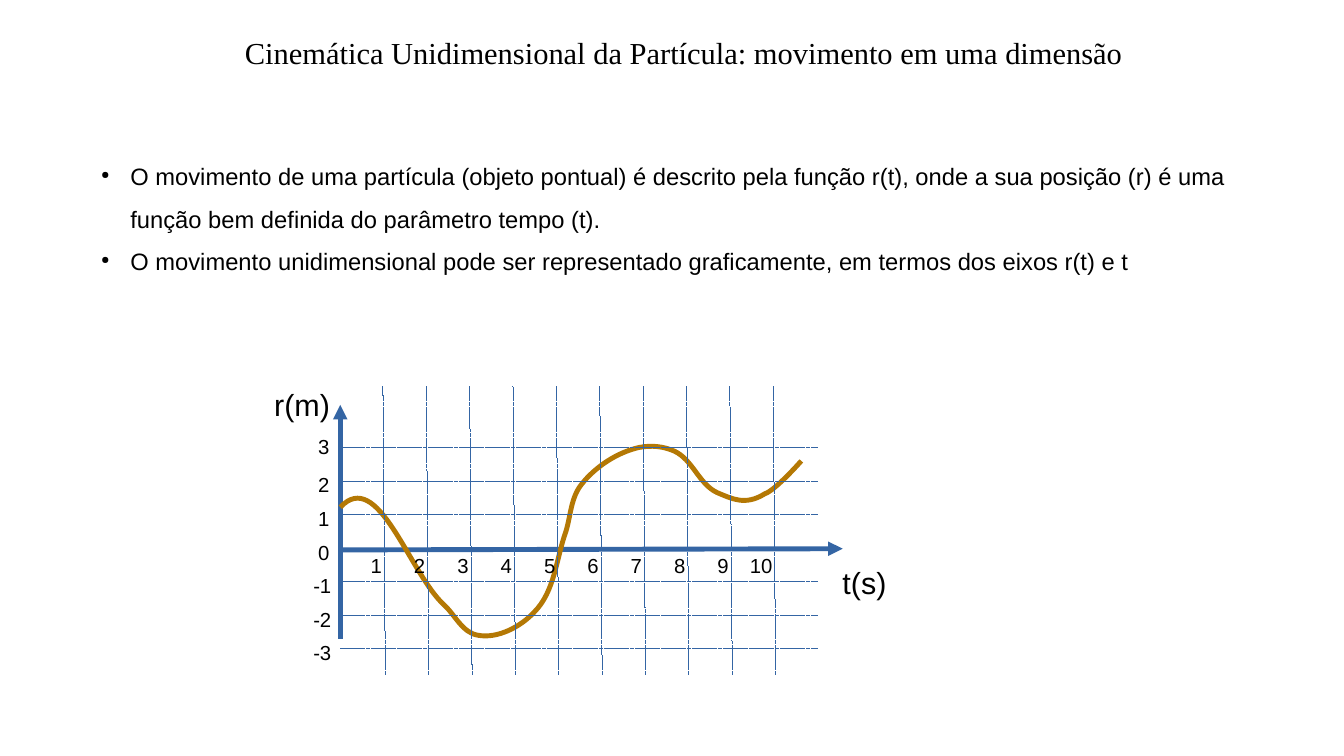
"""Build a slide on one-dimensional motion with a position-time graph."""
from dataclasses import dataclass

from lxml import etree
from pptx import Presentation
from pptx.dml.color import RGBColor
from pptx.enum.dml import MSO_LINE
from pptx.enum.shapes import MSO_CONNECTOR
from pptx.enum.text import MSO_AUTO_SIZE, PP_ALIGN
from pptx.oxml.ns import qn
from pptx.slide import Slide
from pptx.text.text import _Paragraph
from pptx.util import Inches, Pt

BLACK = RGBColor(0x00, 0x00, 0x00)
BLUE = RGBColor(0x34, 0x65, 0xA4)
OCHRE = RGBColor(0xB4, 0x78, 0x04)
STRAIGHT = MSO_CONNECTOR.STRAIGHT
DASHED = MSO_LINE.SQUARE_DOT
JUSTIFY = PP_ALIGN.JUSTIFY
FIT_SHAPE = MSO_AUTO_SIZE.SHAPE_TO_FIT_TEXT
NO_FIT = MSO_AUTO_SIZE.NONE

AXIS_WIDTH = 2.89
TIME_STEP = 3.2 / 9
GRID_LEFT, GRID_RIGHT = 2.79, 6.7
GRID_TOP, GRID_BOTTOM = 3.17, 5.53
POSITION_LINES = (4.22, 3.95, 3.67, 4.77, 5.05, 5.32)
POSITION_LABEL_TOPS = {1: 4.1, 2: 3.82, 3: 3.51, 0: 4.38, -1: 4.65, -2: 4.93, -3: 5.2}
BULLETS = (
    "O movimento de uma partícula (objeto pontual) é descrito pela função r(t), "
    "onde a sua posição (r) é uma função bem definida do parâmetro tempo (t).",
    "O movimento unidimensional pode ser representado graficamente, "
    "em termos dos eixos r(t) e t",
)
CURVE_START = (2.79, 4.16)
CURVE_POINTS = (
    (3.1, 3.83), (3.35, 4.69), (3.64, 4.96),
    (3.73, 5.04), (3.79, 5.19), (3.92, 5.21),
    (4.08, 5.24), (4.27, 5.14), (4.38, 5.02),
    (4.55, 4.85), (4.56, 4.58), (4.64, 4.36),
    (4.68, 4.23), (4.68, 4.08), (4.77, 3.97),
    (4.88, 3.83), (5.06, 3.71), (5.24, 3.67),
    (5.34, 3.65), (5.44, 3.66), (5.53, 3.7),
    (5.68, 3.77), (5.73, 3.97), (5.88, 4.04),
    (6, 4.09), (6.11, 4.15), (6.27, 4.05),
    (6.36, 4.02), (6.57, 3.78), (6.57, 3.78),
)


@dataclass(frozen=True)
class Label:
    """Text box content, place and type."""

    texts: tuple[str, ...]
    left: float
    top: float
    width: float
    height: float
    size: int
    font: str = "Arial"
    wrap: bool = False
    bulleted: bool = False
    alignment: PP_ALIGN | None = None
    line_spacing: float | None = None


@dataclass(frozen=True)
class Line:
    """Straight line from one point to another."""

    start: tuple[float, float]
    end: tuple[float, float]
    width: float = 0
    is_axis: bool = False


def add_bullet(paragraph: _Paragraph) -> None:
    """Give a paragraph a small hanging bullet."""
    properties = paragraph._p.get_or_add_pPr()
    properties.set("marL", str(Inches(0.24)))
    properties.set("indent", str(Inches(-0.24)))
    colour = etree.SubElement(properties, qn("a:buClr"))
    etree.SubElement(colour, qn("a:srgbClr"), val=str(BLACK))
    etree.SubElement(properties, qn("a:buSzPct"), val="45000")
    etree.SubElement(properties, qn("a:buChar"), char="●")


def add_label(slide: Slide, label: Label) -> None:
    """Draw a text box."""
    shape = slide.shapes.add_textbox(
        Inches(label.left), Inches(label.top), Inches(label.width), Inches(label.height)
    )
    frame = shape.text_frame
    frame.word_wrap = label.wrap
    frame.auto_size = NO_FIT if label.wrap else FIT_SHAPE
    for index, text in enumerate(label.texts):
        paragraph = frame.add_paragraph() if index else frame.paragraphs[0]
        if label.bulleted:
            add_bullet(paragraph)
        paragraph.alignment = label.alignment
        paragraph.line_spacing = label.line_spacing
        run = paragraph.add_run()
        run.text = text
        run.font.name = label.font
        run.font.size = Pt(label.size)
        run.font.color.rgb = BLACK


def add_line(slide: Slide, line: Line) -> None:
    """Draw an axis with an arrowhead or a dashed hairline of the grid."""
    connector = slide.shapes.add_connector(
        STRAIGHT, *(Inches(value) for value in line.start + line.end)
    )
    connector.line.color.rgb = BLUE
    outline = connector.line._get_or_add_ln()
    outline.set("w", str(Pt(line.width)))
    if line.is_axis:
        etree.SubElement(outline, qn("a:tailEnd"), type="triangle")
    else:
        connector.line.dash_style = DASHED
    etree.SubElement(connector._element.spPr, qn("a:effectLst"))


def add_curve(slide: Slide) -> None:
    """Draw the position curve as cubic Bézier segments."""
    builder = slide.shapes.build_freeform(*(Inches(value) for value in CURVE_START))
    builder.add_line_segments([(Inches(x), Inches(y)) for x, y in CURVE_POINTS], close=False)
    curve = builder.convert_to_shape()
    curve.shadow.inherit = False
    curve.fill.background()
    curve.line.color.rgb = OCHRE
    curve.line.width = Pt(AXIS_WIDTH)
    outline = next(curve._element.iter(qn("a:path")))
    segments = outline.findall(qn("a:lnTo"))
    for first in range(0, len(segments), 3):
        bezier = etree.SubElement(outline, qn("a:cubicBezTo"))
        for segment in segments[first:first + 3]:
            bezier.append(segment[0])
            outline.remove(segment)


def add_graph(slide: Slide) -> None:
    """Draw the axes, curve, grid and scale labels."""
    add_line(slide, Line((2.79, 5.24), (2.79, 3.32), AXIS_WIDTH, True))
    add_line(slide, Line((2.8, 4.51), (6.91, 4.5), AXIS_WIDTH, True))
    add_label(slide, Label(("t(s)",), 6.81, 4.58, 0.56, 0.38, 18))
    add_label(slide, Label(("r(m)",), 2.15, 3.12, 0.66, 0.38, 18))
    add_curve(slide)
    for index in range(10):
        x = 3.14 + index * TIME_STEP
        add_line(slide, Line((x, GRID_TOP), (x + 0.02, GRID_BOTTOM)))
    for y in POSITION_LINES:
        add_line(slide, Line((GRID_LEFT, y), (GRID_RIGHT, y)))
    for value, top in POSITION_LABEL_TOPS.items():
        left, width = (2.47, 0.35) if value < 0 else (2.51, 0.29)
        add_label(slide, Label((str(value),), left, top, width, 0.29, 12))
    for second in range(1, 10):
        left = 2.94 + (second - 1) * TIME_STEP
        add_label(slide, Label((str(second),), left, 4.49, 0.29, 0.29, 12))
    add_label(slide, Label(("10",), 6.05, 4.49, 0.4, 0.29, 12))


def main() -> None:
    """Create and save the presentation."""
    presentation = Presentation()
    presentation.slide_width = Inches(11.02)
    presentation.slide_height = Inches(6.2)
    slide = presentation.slides.add_slide(presentation.slide_layouts[6])
    title = "Cinemática Unidimensional da Partícula: movimento em uma dimensão"
    add_label(slide, Label((title,), 1.91, 0.08, 7.42, 0.51, 18, "Times New Roman",
                           alignment=JUSTIFY, line_spacing=1.5))
    add_label(slide, Label(BULLETS, 0.73, 1.16, 9.98, 1.68, 14,
                           wrap=True, bulleted=True, line_spacing=1.5))
    add_graph(slide)
    presentation.save("out.pptx")


if __name__ == "__main__":
    main()
